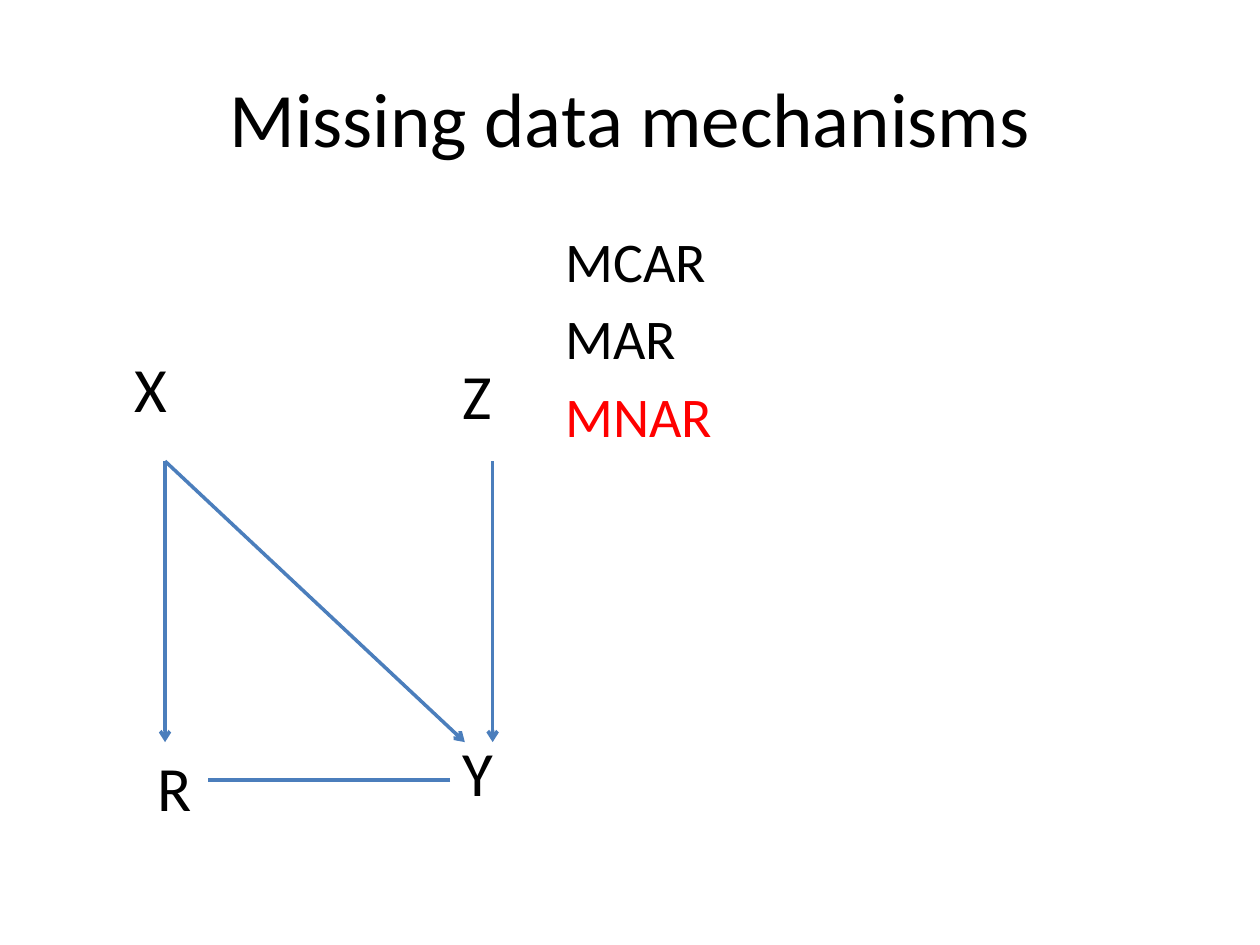
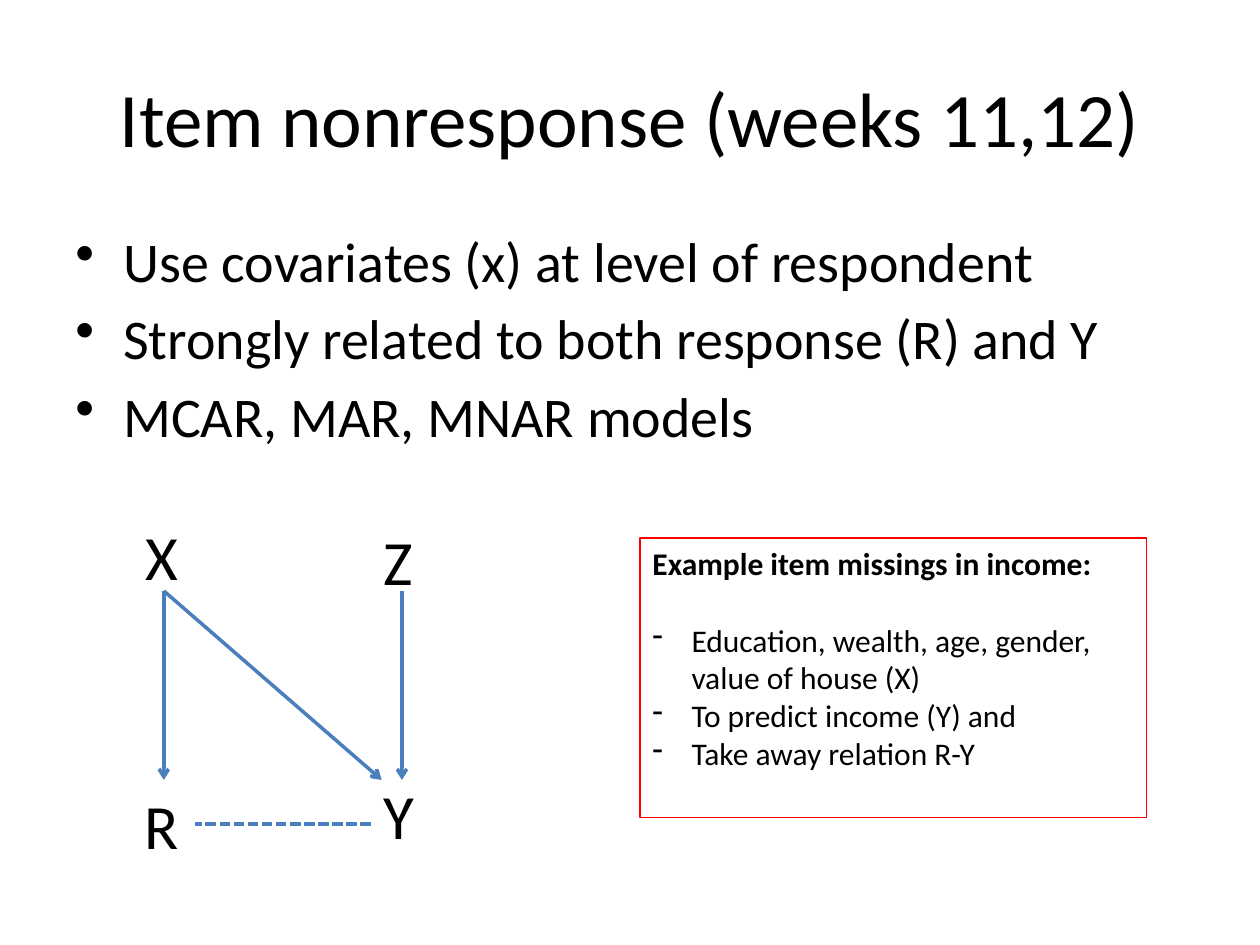
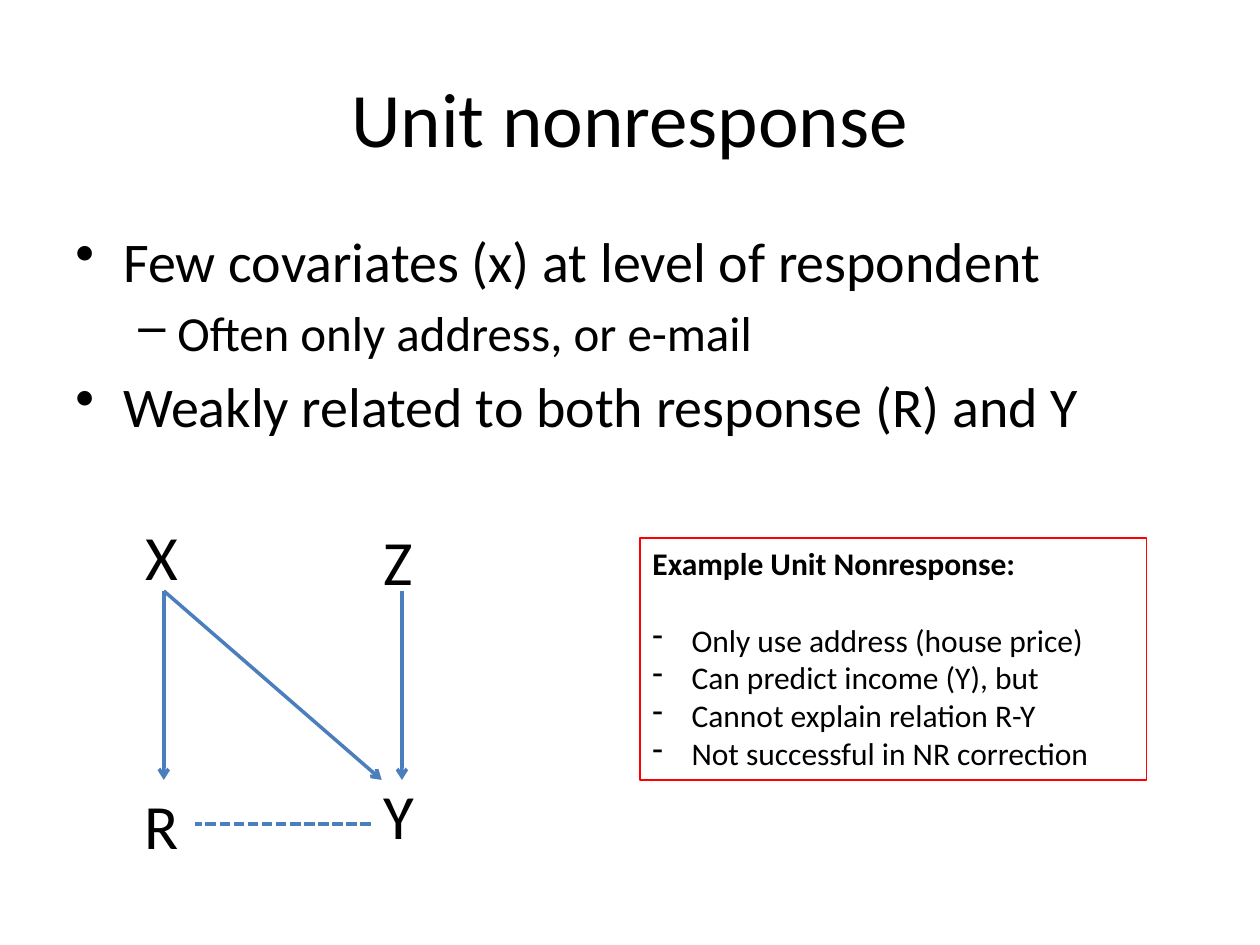
from pptx import Presentation
from pptx.dml.color import RGBColor
from pptx.enum.dml import MSO_LINE
from pptx.enum.shapes import MSO_CONNECTOR, MSO_SHAPE
from pptx.enum.text import MSO_ANCHOR, PP_ALIGN
from pptx.oxml.ns import qn
from pptx.util import Inches, Pt
from lxml.etree import SubElement

BLACK = RGBColor(0, 0, 0)
RED = RGBColor(0xFF, 0, 0)
BLUE = RGBColor(0x4B, 0x7E, 0xBC)
FONT = "Calibri"
MARGIN = 0.5
BODY_TOP, BODY_HEIGHT = 1.75, 4.95
BULLETS = [("•", 0.38, 0.38, 32), ("–", 0.81, 0.31, 28)]

WIDE = dict(left=1.31, top=3.66, width=2.6, height=2.23, r_left=1.15, link_drop=0.3)
COMPACT = dict(left=1.3, top=4.69, width=1.89, height=1.5, r_left=1.05, link_drop=0.35)

SLIDES = [
    dict(title="Missing data mechanisms", body_left=4.39, bulleted=False,
         body=[("MCAR", 0, BLACK), ("MAR", 0, BLACK), ("MNAR", 0, RED)],
         graph=WIDE, x_weight=2, link_dash=None),
    dict(title="Item nonresponse (weeks 11,12)", body_left=MARGIN, bulleted=True,
         body=[("Use covariates (x) at level of respondent", 0, BLACK),
               ("Strongly related to both response (R) and Y", 0, BLACK),
               ("MCAR, MAR, MNAR models", 0, BLACK)],
         graph=COMPACT, x_weight=2, link_dash=MSO_LINE.SQUARE_DOT,
         example=("Example item missings in income:", 2.22,
                  ["Education, wealth, age, gender, value of house (X)",
                   "To predict income (Y) and",
                   "Take away relation R-Y"])),
    dict(title="Unit nonresponse", body_left=MARGIN, bulleted=True,
         body=[("Few covariates (x) at level of respondent", 0, BLACK),
               ("Often only address, or e-mail", 1, BLACK),
               ("Weakly related to both response (R) and Y", 0, BLACK)],
         graph=COMPACT, x_weight=0, link_dash=MSO_LINE.SQUARE_DOT,
         example=("Example Unit Nonresponse:", 1.92,
                  ["Only use address (house price)",
                   "Can predict income (Y), but",
                   "Cannot explain relation R-Y",
                   "Not successful in NR correction"])),
]


def add_box(slide, left, top, width, height):
    tf = slide.shapes.add_textbox(*map(Inches, (left, top, width, height))).text_frame
    tf.word_wrap = True
    return tf


def write(tf, text, size, color=BLACK, bold=False):
    p = tf.paragraphs[0]
    if p.runs:
        p = tf.add_paragraph()
    p.add_run().text = text
    p.alignment = PP_ALIGN.LEFT
    p.font.name, p.font.size, p.font.bold = FONT, Pt(size), bold
    p.font.color.rgb = color
    return p


def set_bullet(p, char, indent, hang):
    pPr = p._p.get_or_add_pPr()
    pPr.set("marL", str(Inches(indent)))
    pPr.set("indent", str(-Inches(hang)))
    bullet = pPr.makeelement(qn("a:buChar"), {"char": char})
    pPr.insert_element_before(bullet, "a:tabLst", "a:defRPr", "a:extLst")


def add_line(slide, start, end, weight=2, arrow=True, dash=None):
    line = slide.shapes.add_connector(MSO_CONNECTOR.STRAIGHT, *map(Inches, start + end))
    line.line.color.rgb, line.line.width = BLUE, Pt(weight)
    if dash:
        line.line.dash_style = dash
    if arrow:
        SubElement(line.line._get_or_add_ln(), qn("a:tailEnd"), type="arrow")
    SubElement(line._element.spPr, qn("a:effectLst"))


def add_graph(slide, graph, x_weight, link_dash):
    left, top, width, height = (graph[k] for k in ("left", "top", "width", "height"))
    right, bottom = left + width, top + height
    gap = 0.13 * width
    labels = [("X", left - gap, top - 0.42 * height),
              ("Z", right - gap, top - 0.395 * height),
              ("Y", right - gap, bottom - 0.053 * height),
              ("R", graph["r_left"], bottom)]
    for text, x, y in labels:
        write(add_box(slide, x, y, width, 0.71), text, 36)
    add_line(slide, (left, top), (left, bottom), x_weight)
    add_line(slide, (left, top), (right - 0.085 * width, bottom), x_weight)
    add_line(slide, (right, top), (right, bottom))
    link_y = bottom + graph["link_drop"]
    add_line(slide, (right - gap, link_y), (left + gap, link_y), arrow=False, dash=link_dash)


def add_example(slide, heading, height, points):
    sp = slide.shapes.add_shape(MSO_SHAPE.RECTANGLE, *map(Inches, (5.08, 4.27, 4.02, height)))
    sp.shadow.inherit = False
    sp.fill.background()
    sp.line.color.rgb, sp.line.width = RED, Pt(0.75)
    tf = sp.text_frame
    tf.word_wrap, tf.vertical_anchor = True, MSO_ANCHOR.TOP
    write(tf, heading, 18, bold=True).space_after = Pt(22)
    for point in points:
        set_bullet(write(tf, point, 18), "-", 0.31, 0.31)


def add_slide(prs, content):
    slide = prs.slides.add_slide(prs.slide_layouts[6])
    page_width = prs.slide_width.inches
    title = add_box(slide, MARGIN, 0.3, page_width - 2 * MARGIN, 1.25)
    title.vertical_anchor = MSO_ANCHOR.MIDDLE
    write(title, content["title"], 44).alignment = PP_ALIGN.CENTER
    left = content["body_left"]
    body = add_box(slide, left, BODY_TOP, page_width - MARGIN - left, BODY_HEIGHT)
    for text, level, color in content["body"]:
        char, indent, hang, size = BULLETS[level]
        p = write(body, text, size, color)
        p.level, p.space_before = level, Pt(0.18 * size)
        if content["bulleted"]:
            set_bullet(p, char, indent, hang)
    add_graph(slide, content["graph"], content["x_weight"], content["link_dash"])
    if "example" in content:
        add_example(slide, *content["example"])


def main():
    prs = Presentation()
    prs.slide_width, prs.slide_height = Inches(10), Inches(7.5)
    for content in SLIDES:
        add_slide(prs, content)
    prs.save("out.pptx")


if __name__ == "__main__":
    main()
